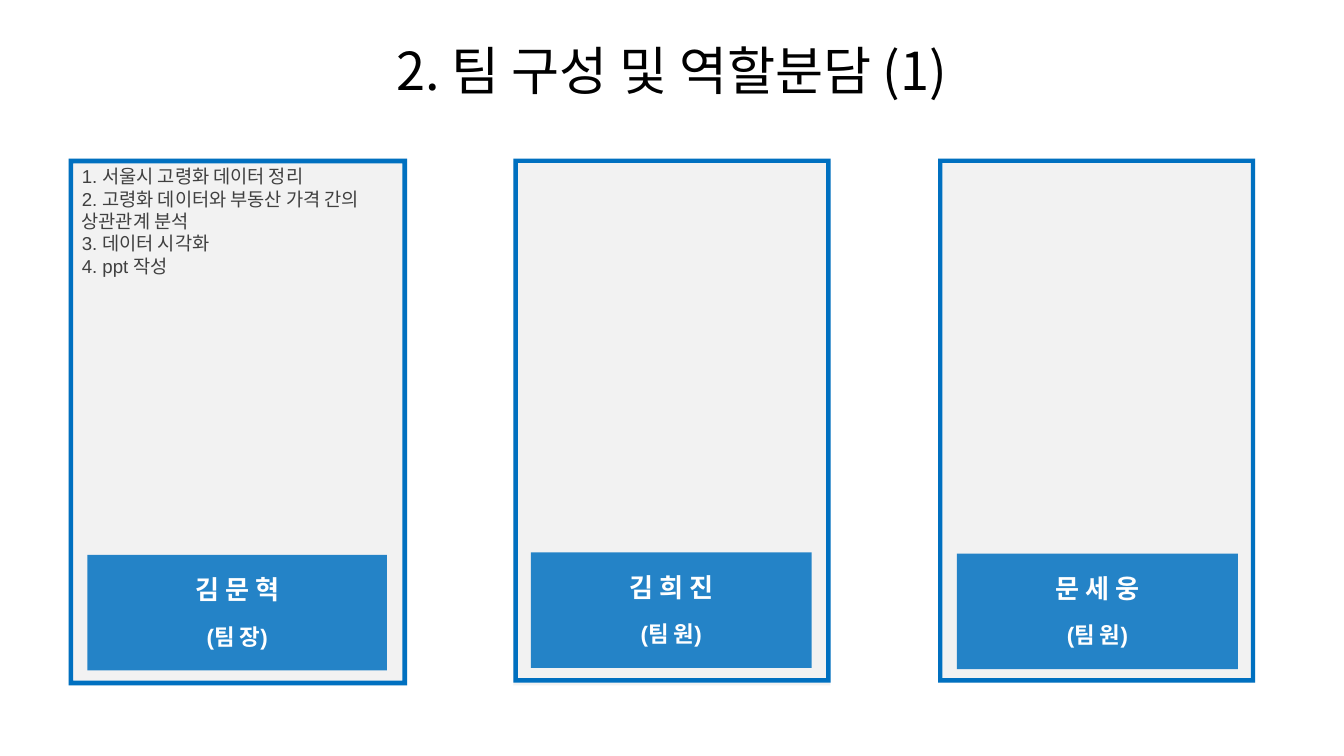
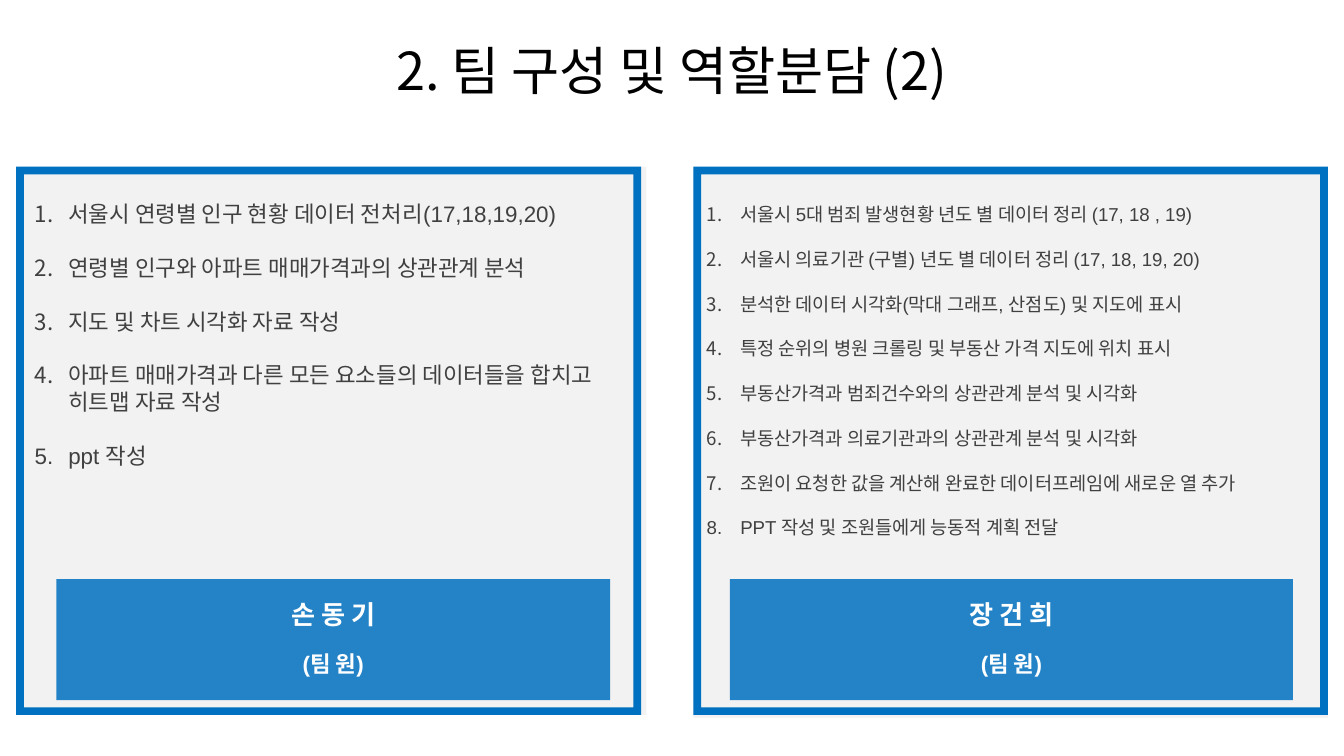
from dataclasses import dataclass

from lxml import etree
from pptx import Presentation
from pptx import util as u
from pptx.dml.color import RGBColor
from pptx.enum import shapes, text
from pptx.oxml.ns import qn

PX = 9144  # 100 px to the inch
SLIDE_WIDTH = 1000
COLOURS = {
    "title": "000000",
    "panel": "F2F2F2",
    "accent": "0070C0",
    "duty": "404040",
    "label": "FFFFFF",
}
TITLE_FONT, BODY_FONT = "Noto Sans CJK KR", "Arial"
LINE_HEIGHT = 1.2
BAND_OPACITY = 85
NUMBER_INDENT = 25
FRAME_THICKNESS = 0.014


@dataclass(frozen=True)
class Box:
    left: int
    top: int
    width: int
    height: int

    def emu(self) -> tuple[int, ...]:
        return tuple(n * PX for n in (self.left, self.top, self.width, self.height))


@dataclass(frozen=True)
class MemberCard:
    name: str
    role: str
    frame: Box
    band: Box
    duties: tuple[str, ...] = ()
    size: int = 10
    numbered: bool = False
    panel_shift: tuple[int, int] = (0, 0)


@dataclass(frozen=True)
class TeamSlide:
    title: str
    cards: tuple[MemberCard, ...]


TEAM_SLIDES = (
    TeamSlide("2. 팀 구성 및 역할분담 (1)", (
        MemberCard(
            "김 문 혁", "(팀 장)", Box(51, 118, 252, 392), Box(65, 413, 223, 86),
            ("1. 서울시 고령화 데이터 정리",
             "2. 고령화 데이터와 부동산 가격 간의 상관관계 분석",
             "3. 데이터 시각화",
             "4. ppt 작성"),
        ),
        MemberCard("김 희 진", "(팀 원)", Box(382, 118, 236, 390),
                   Box(395, 411, 209, 86), panel_shift=(0, 2)),
        MemberCard("문 세 웅", "(팀 원)", Box(698, 118, 236, 390),
                   Box(712, 412, 209, 86)),
    )),
    TeamSlide("2. 팀 구성 및 역할분담 (2)", (
        MemberCard(
            "장 건 희", "(팀 원)", Box(516, 124, 472, 408), Box(543, 431, 419, 90),
            ("서울시 5대 범죄 발생현황 년도 별 데이터 정리 (17, 18 , 19)",
             "서울시 의료기관 (구별) 년도 별 데이터 정리 (17, 18, 19, 20)",
             "분석한 데이터 시각화(막대 그래프, 산점도) 및 지도에 표시",
             "특정 순위의 병원 크롤링 및 부동산 가격 지도에 위치 표시",
             "부동산가격과 범죄건수와의 상관관계 분석 및 시각화",
             "부동산가격과 의료기관과의 상관관계 분석 및 시각화",
             "조원이 요청한 값을 계산해 완료한 데이터프레임에 새로운 열 추가",
             "PPT 작성 및 조원들에게 능동적 계획 전달"),
            numbered=True, panel_shift=(0, 2),
        ),
        MemberCard(
            "손 동 기", "(팀 원)", Box(12, 124, 465, 408), Box(42, 431, 412, 90),
            ("서울시 연령별 인구 현황 데이터 전처리(17,18,19,20)",
             "연령별 인구와 아파트 매매가격과의 상관관계 분석",
             "지도 및 차트 시각화 자료 작성",
             "아파트 매매가격과 다른 모든 요소들의 데이터들을 합치고 히트맵 자료 작성",
             "ppt 작성"),
            size=12, numbered=True, panel_shift=(4, 0),
        ),
    )),
)


def format_runs(paragraph, size: int, colour: str, font: str = BODY_FONT,
                bold: bool = False) -> None:
    """Format every run, with pair kerning off."""
    for run in paragraph.runs:
        run.font.name = font
        run.font.size = u.Pt(size)
        run.font.bold = bold
        run.font.color.rgb = RGBColor.from_string(COLOURS[colour])
        run._r.get_or_add_rPr().set("kern", "0")


def add_filled(parent, kind, box: Box, colour: str):
    shape = parent.add_shape(kind, *box.emu())
    shape.shadow.inherit = False
    shape.fill.solid()
    shape.fill.fore_color.rgb = RGBColor.from_string(COLOURS[colour])
    shape.line.fill.background()
    return shape


def add_centred_text(parent, box: Box, content: str, size: int, colour: str,
                     font: str = BODY_FONT, bold: bool = False) -> None:
    frame = parent.add_textbox(*box.emu()).text_frame
    frame.word_wrap = True
    frame.vertical_anchor = text.MSO_ANCHOR.MIDDLE
    frame.text = content
    paragraph = frame.paragraphs[0]
    paragraph.alignment = text.PP_ALIGN.CENTER
    format_runs(paragraph, size, colour, font, bold)


def number_paragraph(paragraph) -> None:
    properties = paragraph._p.get_or_add_pPr()
    properties.set("marL", str(NUMBER_INDENT * PX))
    properties.set("indent", str(-NUMBER_INDENT * PX))
    etree.SubElement(properties, qn("a:buFont"), typeface="+mj-lt")
    etree.SubElement(properties, qn("a:buAutoNum"), type="arabicPeriod")


def write_duties(panel, card: MemberCard) -> None:
    frame = panel.text_frame
    frame.word_wrap = True
    frame.vertical_anchor = text.MSO_ANCHOR.TOP
    if card.numbered:
        frame.margin_top = 25 * PX
    frame.text = "\n".join(card.duties)
    line = u.Pt(card.size * LINE_HEIGHT)
    for index, paragraph in enumerate(frame.paragraphs):
        paragraph.alignment = text.PP_ALIGN.LEFT
        paragraph.line_spacing = line
        if card.numbered:
            if index:
                paragraph.space_before = line
            number_paragraph(paragraph)
        format_runs(paragraph, card.size, "duty")


def add_band(parent, box: Box) -> None:
    band = add_filled(parent, shapes.MSO_SHAPE.RECTANGLE, box, "accent")
    colour = band._element.spPr.find(qn("a:solidFill"))[0]
    etree.SubElement(colour, qn("a:alpha"), val=str(BAND_OPACITY * 1000))


def add_card(slide, card: MemberCard) -> None:
    parent = slide.shapes.add_group_shape().shapes
    frame, band = card.frame, card.band
    shift_x, shift_y = card.panel_shift
    panel_box = Box(frame.left + shift_x, frame.top + shift_y, frame.width, frame.height)
    panel = add_filled(parent, shapes.MSO_SHAPE.RECTANGLE, panel_box, "panel")
    if card.duties:
        write_duties(panel, card)
    border = add_filled(parent, shapes.MSO_SHAPE.FRAME, frame, "accent")
    border.adjustments[0] = FRAME_THICKNESS
    add_band(parent, band)

    margin = round(band.width * 0.057)
    for content, size, offset in ((card.name, 14, 0.1), (card.role, 12, 0.51)):
        label = Box(band.left + margin, band.top + round(band.height * offset),
                    band.width - 2 * margin, round(band.height * 0.38))
        add_centred_text(parent, label, content, size, "label", bold=True)


def main() -> None:
    presentation = Presentation()
    presentation.slide_width = SLIDE_WIDTH * PX
    presentation.slide_height = presentation.slide_width * 9 // 16
    for team_slide in TEAM_SLIDES:
        slide = presentation.slides.add_slide(presentation.slide_layouts[6])
        add_centred_text(slide.shapes, Box(0, 20, SLIDE_WIDTH, 63), team_slide.title,
                         28, "title", TITLE_FONT)
        for card in team_slide.cards:
            add_card(slide, card)
    presentation.save("out.pptx")


if __name__ == "__main__":
    main()
